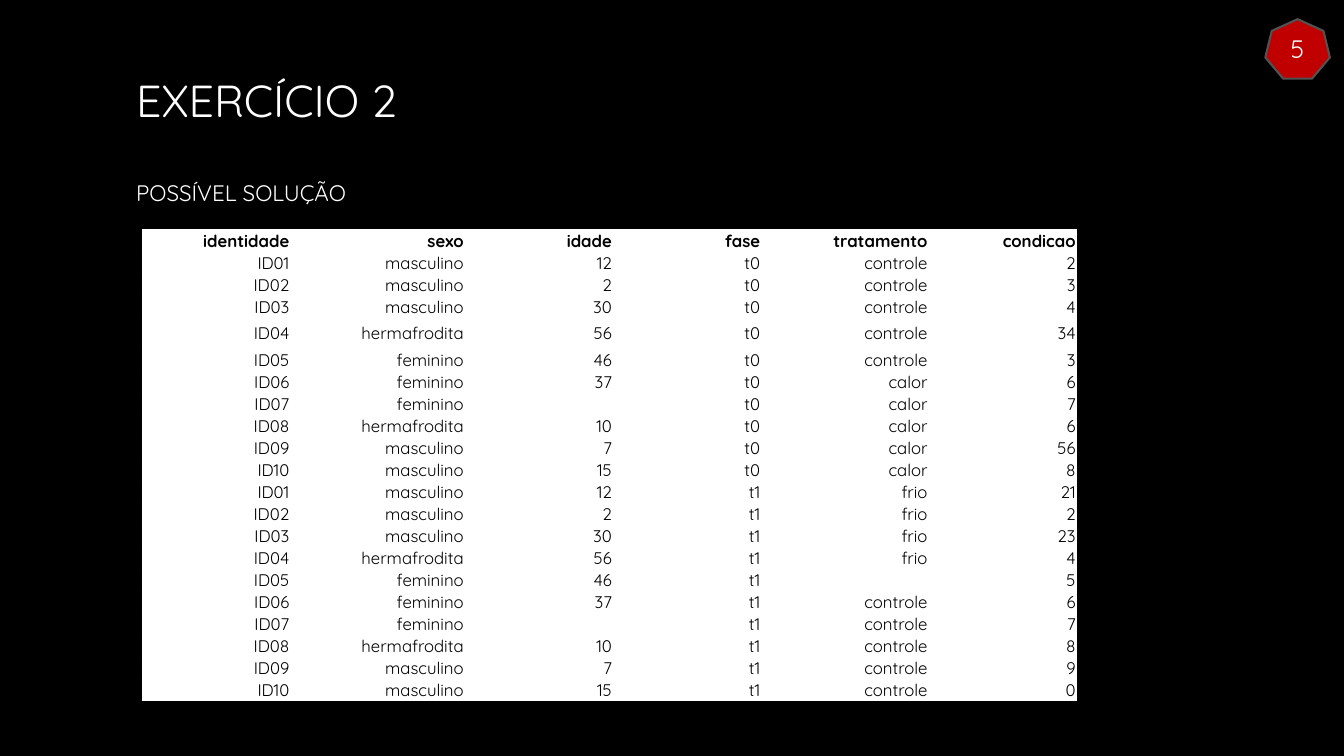
from pptx import Presentation
from pptx.dml.color import RGBColor
from pptx.enum.shapes import MSO_SHAPE
from pptx.enum.text import MSO_ANCHOR, MSO_AUTO_SIZE, PP_ALIGN
from pptx.oxml.xmlchemy import OxmlElement
from pptx.util import Inches, Pt

HEPTAGON = MSO_SHAPE.HEPTAGON
TOP, MIDDLE, BOTTOM = MSO_ANCHOR.TOP, MSO_ANCHOR.MIDDLE, MSO_ANCHOR.BOTTOM
LEFT, CENTER, RIGHT = PP_ALIGN.LEFT, PP_ALIGN.CENTER, PP_ALIGN.RIGHT
NO_FIT = MSO_AUTO_SIZE.NONE

FONT = "Quicksand"
BLACK, WHITE, GREY = "000000", "FFFFFF", "A6A6A6"
RED, DARK_GREY = "C00000", "525252"

COLUMN_WIDTHS = [1.47, 1.73, 1.47, 1.47, 1.66, 1.47]
ROW_HEIGHT, TALL_HEIGHT, TALL_ROWS = 0.21, 0.26, (4, 5)
HEADER = ["identidade", "sexo", "idade", "fase", "tratamento", "condicao"]
SUBJECTS = [
    ("ID01", "masculino", "12"), ("ID02", "masculino", "2"),
    ("ID03", "masculino", "30"), ("ID04", "hermafrodita", "56"),
    ("ID05", "feminino", "46"), ("ID06", "feminino", "37"),
    ("ID07", "feminino", ""), ("ID08", "hermafrodita", "10"),
    ("ID09", "masculino", "7"), ("ID10", "masculino", "15"),
]
# Treatment and condition of each subject, by phase
PHASES = {
    "t0": (["controle"] * 5 + ["calor"] * 5,
           [2, 3, 4, 34, 3, 6, 7, 6, 56, 8]),
    "t1": (["frio"] * 4 + [""] + ["controle"] * 5,
           [21, 2, 23, 4, 5, 6, 7, 8, 9, 0]),
}


def color(hex_text):
    return RGBColor.from_string(hex_text)


def add_span(para, text, size, hex_text, bold=False):
    span = para.add_run()
    span.text = text
    span.font.name, span.font.size, span.font.bold = FONT, Pt(size), bold
    span.font.fill.solid()
    span.font.fill.fore_color.rgb = color(hex_text)
    return span


def fade_text(span):
    """Fill the letters with a gradient from white to grey."""
    fill = span.font.fill
    fill.gradient()
    fill.gradient_angle = 267
    for stop, hex_text, position in zip(fill.gradient_stops, (WHITE, GREY), (0, 1)):
        stop.color.rgb = color(hex_text)
        stop.position = position


def place_title(page, left, top, width, height):
    title = page.shapes.title
    title.left, title.top = Inches(left), Inches(top)
    title.width, title.height = Inches(width), Inches(height)
    frame = title.text_frame
    frame.word_wrap, frame.auto_size, frame.vertical_anchor = True, NO_FIT, TOP
    heading, subheading = frame.paragraphs[0], frame.add_paragraph()
    subheading.space_before = Pt(38)
    for para, text, size in ((heading, "EXERCÍCIO 2", 32),
                             (subheading, "POSSÍVEL SOLUÇÃO", 16)):
        para.alignment = LEFT
        fade_text(add_span(para, text, size, WHITE))


def add_borders(cell):
    properties = cell._tc.get_or_add_tcPr()
    for index, side in enumerate(("a:lnL", "a:lnR", "a:lnT", "a:lnB")):
        line, fill, tint = map(OxmlElement, (side, "a:solidFill", "a:srgbClr"))
        line.set("w", str(Pt(1)))
        tint.set("val", WHITE)
        fill.append(tint)
        line.append(fill)
        properties.insert(index, line)


def fill_cell(cell, text, bold):
    cell.margin_left = cell.margin_right = cell.margin_top = Inches(0.01)
    cell.margin_bottom = 0
    cell.vertical_anchor = BOTTOM
    cell.fill.solid()
    cell.fill.fore_color.rgb = color(WHITE)
    add_borders(cell)
    para = cell.text_frame.paragraphs[0]
    para.alignment = RIGHT
    if text:
        add_span(para, text, 12, BLACK, bold)
    else:
        ending = OxmlElement("a:endParaRPr")
        ending.set("sz", "1200")
        para._p.append(ending)


def place_table(page, left, top):
    rows = [HEADER]
    for phase, (treatments, conditions) in PHASES.items():
        for subject, treatment, condition in zip(SUBJECTS, treatments, conditions):
            rows.append([*subject, phase, treatment, str(condition)])
    heights = [TALL_HEIGHT if index in TALL_ROWS else ROW_HEIGHT
               for index in range(len(rows))]
    table = page.shapes.add_table(
        len(rows), len(HEADER), Inches(left), Inches(top),
        Inches(sum(COLUMN_WIDTHS)), Inches(sum(heights))).table
    table.first_row = table.horz_banding = False
    for column, width in zip(table.columns, COLUMN_WIDTHS):
        column.width = Inches(width)
    for index, (row, height) in enumerate(zip(table.rows, heights)):
        row.height = Inches(height)
        for cell, text in zip(row.cells, rows[index]):
            fill_cell(cell, text, bold=index == 0)


def place_page_number(page, left, top, width, height):
    badge = page.shapes.add_shape(
        HEPTAGON, Inches(left), Inches(top), Inches(width), Inches(height))
    badge.shadow.inherit = False
    badge.fill.solid()
    badge.fill.fore_color.rgb = color(RED)
    badge.line.color.rgb = color(DARK_GREY)
    badge.line.width = Pt(1.5)
    frame = badge.text_frame
    frame.vertical_anchor = MIDDLE
    para = frame.paragraphs[0]
    para.alignment = CENTER
    add_span(para, "5", 18, WHITE)


def main():
    deck = Presentation()
    deck.slide_width, deck.slide_height = Inches(13.33), Inches(7.5)
    page = deck.slides.add_slide(deck.slide_layouts.get_by_name("Title Only"))
    page.background.fill.solid()
    page.background.fill.fore_color.rgb = color(BLACK)
    place_title(page, 1.25, 0.67, 10.83, 2.08)
    place_table(page, 1.41, 2.28)
    place_page_number(page, 12.55, 0.19, 0.64, 0.59)
    deck.save("out.pptx")


if __name__ == "__main__":
    main()
